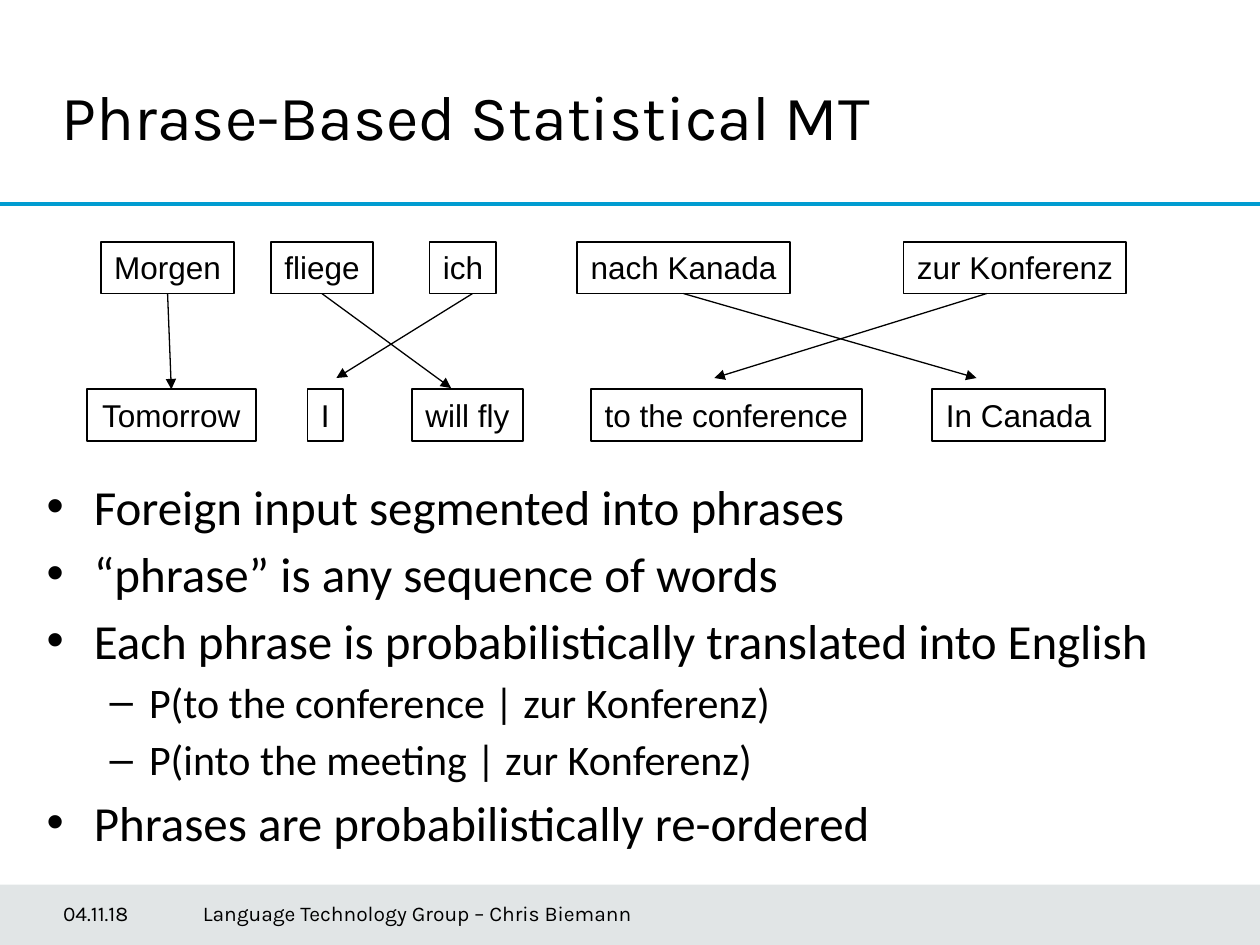
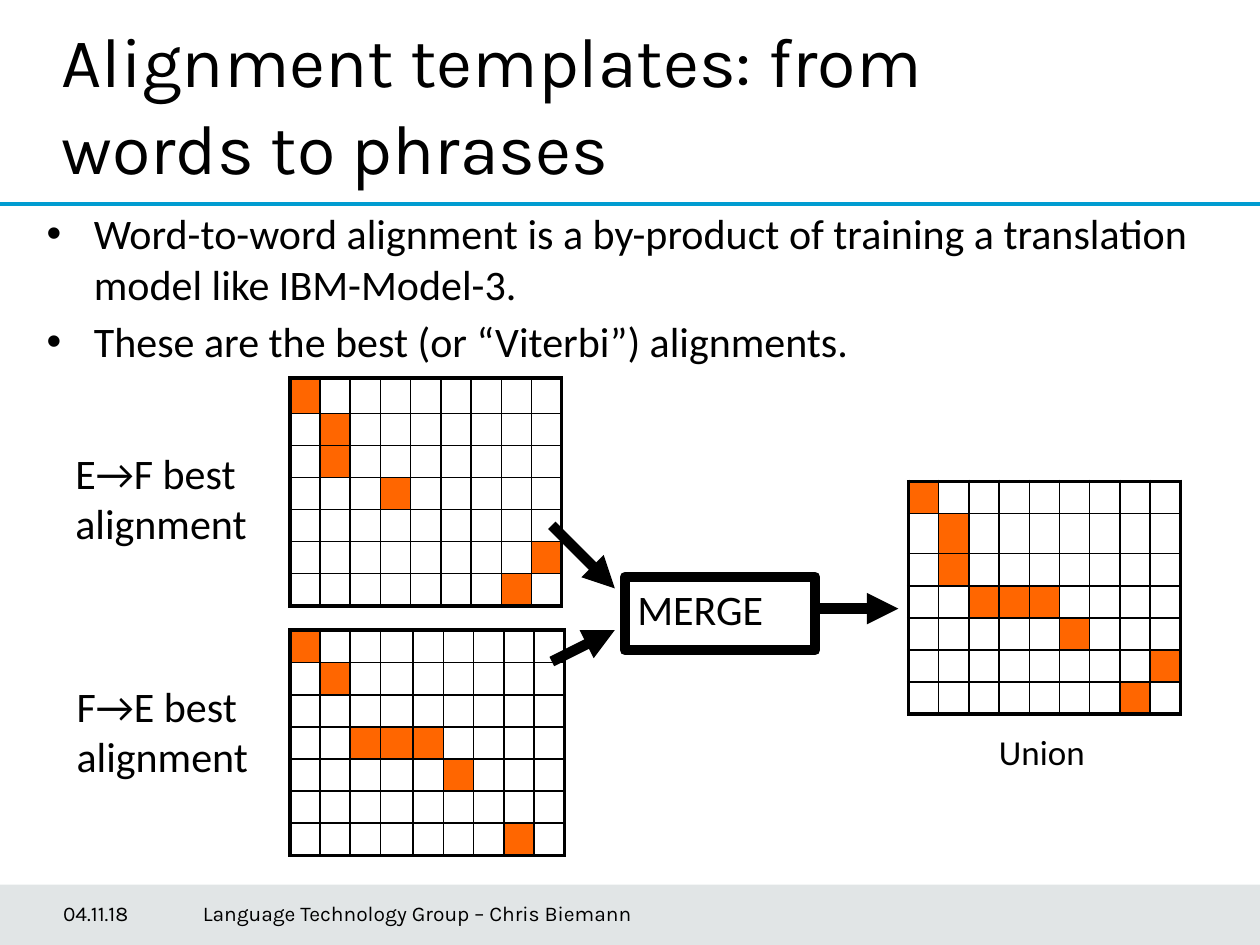
"""Build two slides on phrase-based machine translation."""
from lxml import etree
from pptx import Presentation
from pptx.dml.color import RGBColor
from pptx.enum.shapes import MSO_CONNECTOR, MSO_SHAPE
from pptx.enum.text import MSO_ANCHOR, MSO_AUTO_SIZE, PP_ALIGN
from pptx.oxml.ns import qn
from pptx.util import Inches, Pt

BLACK = RGBColor(0x00, 0x00, 0x00)
BLUE = RGBColor(0x00, 0x9C, 0xD1)
SLATE = RGBColor(0x3B, 0x51, 0x5B)
ORANGE = RGBColor(0xFF, 0x66, 0x00)
TITLE_FONT, BODY_FONT, PHRASE_FONT = "Karla", "Calibri", "Arial"

FOOTER = [("04.11.18", 0.5, 0.99), ("Language Technology Group – Chris Biemann", 1.61, 4.91)]

PHRASE_BULLETS = [
    (0, "Foreign input segmented into phrases"),
    (0, "“phrase” is any sequence of words"),
    (0, "Each phrase is probabilistically translated into English"),
    (1, "P(to the conference | zur Konferenz)"),
    (1, "P(into the meeting | zur Konferenz)"),
    (0, "Phrases are probabilistically re-ordered"),
]
ALIGNMENT_BULLETS = [
    (0, "Word-to-word alignment is a by-product of training a translation model like IBM-Model-3."),
    (0, "These are the best (or “Viterbi”) alignments."),
]

PHRASE_ROWS = {
    1.92: [("Morgen", 0.8, 1.06), ("fliege", 2.15, 0.81), ("ich", 3.41, 0.53),
           ("nach Kanada", 4.58, 1.69), ("zur Konferenz", 7.17, 1.77)],
    3.09: [("Tomorrow", 0.69, 1.34), ("I", 2.44, 0.28), ("will fly", 3.27, 0.88),
           ("to the conference", 4.69, 2.15), ("In Canada", 7.4, 1.37)],
}
PHRASE_H = 0.41
PHRASE_ARROWS = [
    ((1.33, 2.33), (1.33, 3.08), "Morgen", "Tomorrow"),
    ((2.58, 2.33), (3.58, 3.08), "fliege", None),
    ((3.75, 2.33), (2.67, 3), None, None),
    ((5.42, 2.33), (7.75, 3), "nach Kanada", None),
    ((7.83, 2.33), (5.67, 3), None, None),
]

COL_W = 0.24
GRIDS = [
    {"at": (7.21, 3.82), "height": 1.85, "tall_row": (1, 0.32), "wide_col": (0, COL_W),
     "marks": [(0,), (1,), (1,), (2, 3, 4), (5,), (8,), (7,)]},
    {"at": (2.3, 3), "height": 1.81, "tall_row": (0, 0.28), "wide_col": (0, COL_W),
     "marks": [(0,), (1,), (1,), (3,), (), (8,), (7,)]},
    {"at": (2.3, 5), "height": 1.79, "tall_row": (0, 0.26), "wide_col": (3, 0.26),
     "marks": [(0,), (1,), (), (2, 3, 4), (5,), (), (7,)]},
]
GRID_COLS = 9
LABELS = [
    ("E→F best\nalignment", 0.5, 3.5, 1.7, 0.91, 24),
    ("F→E best\nalignment", 0.51, 5.35, 1.7, 0.91, 24),
    ("Union", 7.83, 5.75, 0.93, 0.44, 20),
]
MERGE_ARROWS = [((6.46, 4.83), (7.13, 4.83)), ((4.38, 4.17), (4.88, 4.67)), ((4.38, 5.25), (4.88, 5))]


def inches(*values):
    return [Inches(v) for v in values]


def style(p, font, size):
    for r in p.runs:
        r.font.name, r.font.size, r.font.color.rgb = font, Pt(size), BLACK


def add_line(s, start, end, width, color=BLACK, arrow=True):
    line = s.shapes.add_connector(MSO_CONNECTOR.STRAIGHT, *inches(*start, *end))
    line.line.color.rgb, line.line.width = color, Pt(width)
    if arrow:
        etree.SubElement(line.line._get_or_add_ln(), qn("a:tailEnd"), type="triangle")
    etree.SubElement(line._element.spPr, qn("a:effectLst"))
    return line


def add_text(s, text, box, font, size):
    shape = s.shapes.add_textbox(*inches(*box))
    tf = shape.text_frame
    tf.text = text
    for p in tf.paragraphs:
        style(p, font, size)
    return tf


def add_box(s, text, box, font, size, border, align):
    shape = s.shapes.add_shape(MSO_SHAPE.RECTANGLE, *inches(*box))
    shape.shadow.inherit = False
    shape.fill.background()
    shape.line.color.rgb, shape.line.width = BLACK, Pt(border)
    tf = shape.text_frame
    tf.text, tf.word_wrap, tf.vertical_anchor = text, align == PP_ALIGN.LEFT, MSO_ANCHOR.TOP
    tf.paragraphs[0].alignment = align
    style(tf.paragraphs[0], font, size)
    return shape


def place(shape, box):
    shape.left, shape.top, shape.width, shape.height = inches(*box)
    tf = shape.text_frame
    tf.auto_size, tf.vertical_anchor = MSO_AUTO_SIZE.NONE, MSO_ANCHOR.TOP
    return tf


def new_slide(prs, title, title_top, title_size, bullets, body_box, body_size):
    s = prs.slides.add_slide(prs.slide_layouts[1])
    band = s.shapes.add_shape(MSO_SHAPE.RECTANGLE, *inches(0, 7.02, 10, 0.48))
    band.shadow.inherit = False
    band.fill.solid()
    band.fill.fore_color.rgb = SLATE
    etree.SubElement(next(band._element.spPr.iter(qn("a:srgbClr"))), qn("a:alpha"), val="15000")
    band.line.fill.background()
    add_line(s, (0, 1.62), (10, 1.62), 2, BLUE, arrow=False)

    tf = place(s.shapes.title, (0.39, title_top, 7.52, 0.92))
    tf.text, tf.margin_top = title, Inches(0.07)
    p = tf.paragraphs[0]
    p.alignment, p.line_spacing = PP_ALIGN.LEFT, 1.03
    style(p, TITLE_FONT, title_size)

    tf = place(s.placeholders[1], body_box)
    for i, (level, text) in enumerate(bullets):
        p = tf.paragraphs[0] if i == 0 else tf.add_paragraph()
        size = body_size - 4 * level
        p.text, p.level = text, level
        p.space_before = Pt(round(size / 6, 1) if i else 0)
        style(p, BODY_FONT, size)

    for text, left, width in FOOTER:
        tf = add_text(s, text, (left, 7.05, width, 0.4), TITLE_FONT, 12)
        tf.margin_left, tf.vertical_anchor, tf.word_wrap = 0, MSO_ANCHOR.MIDDLE, True
    return s


def set_borders(cell, thick):
    tcPr = cell._tc.get_or_add_tcPr()
    for i, side in enumerate("LRTB"):
        ln = etree.Element(qn(f"a:ln{side}"), w=str(Pt(2.25 if side in thick else 1)))
        fill = etree.SubElement(ln, qn("a:solidFill"))
        etree.SubElement(fill, qn("a:srgbClr"), val=str(BLACK))
        tcPr.insert(i, ln)


def add_grid(s, at, height, tall_row, wide_col, marks):
    n_rows = len(marks)
    tall, tall_h = tall_row
    wide, wide_w = wide_col
    row_h = (height - tall_h) / (n_rows - 1)
    width = COL_W * (GRID_COLS - 1) + wide_w
    table = s.shapes.add_table(n_rows, GRID_COLS, *inches(*at, width, height)).table
    table.first_row = table.horz_banding = False
    for c, col in enumerate(table.columns):
        col.width = Inches(wide_w if c == wide else COL_W)
    for r, row in enumerate(table.rows):
        row.height = Inches(tall_h if r == tall else row_h)
        for c, cell in enumerate(row.cells):
            cell.margin_left = cell.margin_right = cell.margin_top = cell.margin_bottom = 0
            if c in marks[r]:
                cell.fill.solid()
                cell.fill.fore_color.rgb = ORANGE
            else:
                cell.fill.background()
            outer = {"L": c == 0, "R": c == GRID_COLS - 1, "T": r == 0, "B": r == n_rows - 1}
            set_borders(cell, [side for side, on in outer.items() if on])
            etree.SubElement(cell.text_frame.paragraphs[0]._p, qn("a:endParaRPr"), sz="800")


def build_phrases(prs):
    s = new_slide(prs, "Phrase-Based Statistical MT", 0.53, 36,
                  PHRASE_BULLETS, (0.27, 3.73, 9.45, 2.56), 28)
    boxes = {}
    for top, phrases in PHRASE_ROWS.items():
        for text, left, width in phrases:
            boxes[text] = add_box(s, text, (left, top, width, PHRASE_H),
                                  PHRASE_FONT, 18, 1, PP_ALIGN.CENTER)
    for start, end, source, target in PHRASE_ARROWS:
        arrow = add_line(s, start, end, 0.75)
        if source:
            arrow.begin_connect(boxes[source], 2)
        if target:
            arrow.end_connect(boxes[target], 0)


def build_alignments(prs):
    s = new_slide(prs, "Alignment templates: from words to phrases", 0.05, 40,
                  ALIGNMENT_BULLETS, (0.27, 1.6, 9.45, 1.68), 24)
    for grid in GRIDS:
        add_grid(s, **grid)
    for text, *box, size in LABELS:
        add_text(s, text, box, BODY_FONT, size).word_wrap = False
    add_box(s, "MERGE", (4.96, 4.58, 1.51, 0.58), BODY_FONT, 24, 6, PP_ALIGN.LEFT)
    for start, end in MERGE_ARROWS:
        add_line(s, start, end, 6)


def main():
    prs = Presentation()
    prs.slide_width, prs.slide_height = inches(10, 7.5)
    build_phrases(prs)
    build_alignments(prs)
    prs.save("out.pptx")


if __name__ == "__main__":
    main()
